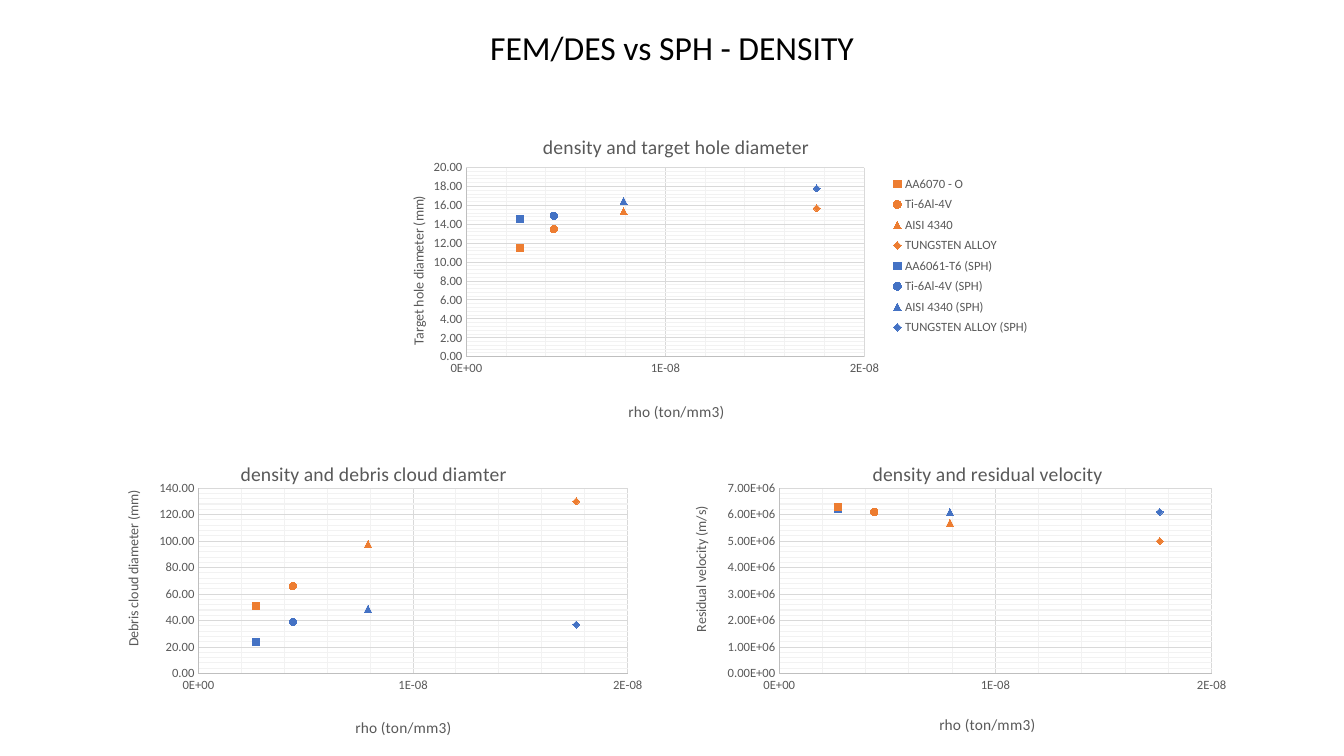
from copy import deepcopy

from lxml.etree import SubElement
from pptx import Presentation
from pptx.chart.data import XyChartData
from pptx.dml.color import RGBColor
from pptx.enum.chart import (XL_CHART_TYPE, XL_LEGEND_POSITION,
                             XL_MARKER_STYLE, XL_TICK_MARK)
from pptx.enum.text import PP_ALIGN
from pptx.oxml.ns import qn
from pptx.util import Inches, Pt

FONT = "Calibri"
BLACK = RGBColor(0x00, 0x00, 0x00)
GRAY = RGBColor(0x59, 0x59, 0x59)
AXIS = RGBColor(0xBF, 0xBF, 0xBF)
MAJOR = RGBColor(0xD9, 0xD9, 0xD9)
MINOR = RGBColor(0xF2, 0xF2, 0xF2)
ORANGE = RGBColor(0xED, 0x7D, 0x31)
BLUE = RGBColor(0x44, 0x72, 0xC4)

# Content: four FEM/DES metals, then the same densities with SPH
HEAD = "FEM/DES vs SPH - DENSITY"
RHO = "rho (ton/mm3)"
NAMES = ["AA6070 - O", "Ti-6Al-4V", "AISI 4340", "TUNGSTEN ALLOY",
         "AA6061-T6 (SPH)", "Ti-6Al-4V (SPH)", "AISI 4340 (SPH)",
         "TUNGSTEN ALLOY (SPH)"]
DENSITY = [2.7e-9, 4.4e-9, 7.9e-9, 1.76e-8]
MARKS = [XL_MARKER_STYLE.SQUARE, XL_MARKER_STYLE.CIRCLE,
         XL_MARKER_STYLE.TRIANGLE, XL_MARKER_STYLE.DIAMOND]

# Boxes are inches; plot, title and axis places are shares of the chart
CHARTS = [
    dict(title="density and target hole diameter",
         label="Target hole diameter (mm)",
         vals=[11.5, 13.5, 15.4, 15.7, 14.6, 14.9, 16.5, 17.8],
         top=20, step=2, form="0.00", box=(3.77, 1.06, 6.58, 3.18),
         plot=(0.13, 0.19, 0.6, 0.59), head=(0.24, 0.07),
         xlab=(0.37, 0.91), ylab=(0.04, 0.27), key=(0.76, 0.2, 0.23, 0.53)),
    dict(title="density and debris cloud diamter",
         label="Debris cloud diameter (mm)",
         vals=[51, 66, 98, 130, 24, 39, 49, 37],
         top=140, step=20, form="0.00", box=(1.04, 4.25, 5.46, 3.12),
         plot=(0.17, 0.19, 0.78, 0.59), head=(0.24, 0.09),
         xlab=(0.45, 0.91), ylab=(0.03, 0.19), key=None),
    dict(title="density and residual velocity",
         label="Residual velocity (m/s)",
         vals=[6.3e6, 6.1e6, 5.7e6, 5e6, 6.2e6, 6.1e6, 6.1e6, 6.1e6],
         top=7e6, step=1e6, form="0.00E+00", box=(6.67, 4.25, 5.57, 3.12),
         plot=(0.19, 0.19, 0.77, 0.59), head=(0.35, 0.09),
         xlab=(0.47, 0.9), ylab=(0.03, 0.24), key=None),
]


def write(frame, text, size=10, color=GRAY):
    frame.text = text
    para = frame.paragraphs[0]
    para.alignment = PP_ALIGN.CENTER
    font = para.runs[0].font
    font.name, font.size, font.bold = FONT, Pt(size), False
    font.color.rgb = color


def place(node, share, spot=1, inner=False):
    """Give a chart part a fixed place, as shares of the chart."""
    old = node.find(qn("c:layout"))
    if old is not None:
        node.remove(old)
    layout = SubElement(node, qn("c:layout"))
    node.insert(spot, layout)
    manual = SubElement(layout, qn("c:manualLayout"))
    rules = [("layoutTarget", "inner")] if inner else []
    rules += [("xMode", "edge"), ("yMode", "edge")]
    rules += zip("xywh", share)
    for tag, val in rules:
        SubElement(manual, qn("c:" + tag)).set("val", str(val))


def stroke(line, color):
    line.color.rgb = color
    line.width = Pt(0.75)


def grid(axis):
    """Style the major lines, then give the minor ones a paler copy."""
    axis.has_major_gridlines = axis.has_minor_gridlines = True
    line = axis.major_gridlines.format.line
    stroke(line, MINOR)
    look = axis._element.find(qn("c:majorGridlines")).find(qn("c:spPr"))
    axis._element.find(qn("c:minorGridlines")).append(deepcopy(look))
    stroke(line, MAJOR)


def style(axis, text, size, share, top, step, form):
    axis.minimum_scale, axis.maximum_scale = 0, top
    axis.major_unit, axis.minor_unit = step, step / 5
    axis.major_tick_mark = axis.minor_tick_mark = XL_TICK_MARK.NONE
    stroke(axis.format.line, AXIS)
    grid(axis)
    labels = axis.tick_labels
    labels.number_format, labels.number_format_is_linked = form, False
    labels.font.name, labels.font.size = FONT, Pt(9)
    labels.font.color.rgb = GRAY
    write(axis.axis_title.text_frame, text, size=size)
    place(axis.axis_title._element, share)


def scatter(slide, item):
    data = XyChartData()
    for name, rho, val in zip(NAMES, DENSITY * 2, item["vals"]):
        data.add_series(name).add_data_point(rho, val)
    chart = slide.shapes.add_chart(
        XL_CHART_TYPE.XY_SCATTER, *map(Inches, item["box"]), data).chart
    chart.font.name, chart.font.size = FONT, Pt(10)
    chart.plots[0].vary_by_categories = False

    # Markers: shape by metal, colour by method
    for i, series in enumerate(chart.plots[0].series):
        color = ORANGE if i < len(MARKS) else BLUE
        series.smooth = False
        series.format.line.fill.background()
        mark = series.marker
        mark.style, mark.size = MARKS[i % len(MARKS)], 5
        mark.format.fill.solid()
        mark.format.fill.fore_color.rgb = color
        stroke(mark.format.line, color)

    # Title, axes and plot
    write(chart.chart_title.text_frame, item["title"], size=14)
    place(chart.chart_title._element, item["head"])
    style(chart.category_axis, RHO, 11, item["xlab"], 2e-8, 1e-8, "0.E+00")
    style(chart.value_axis, item["label"], 10, item["ylab"],
          item["top"], item["step"], item["form"])
    area = chart._chartSpace.find(".//" + qn("c:plotArea"))
    place(area, item["plot"], spot=0, inner=True)

    # Legend
    chart.has_legend = item["key"] is not None
    if chart.has_legend:
        key = chart.legend
        key.position = XL_LEGEND_POSITION.RIGHT
        key.include_in_layout = False
        key.font.name, key.font.size = FONT, Pt(9)
        key.font.color.rgb = GRAY
        place(key._element, item["key"])


def main():
    deck = Presentation()
    deck.slide_width, deck.slide_height = Inches(13.33), Inches(7.5)
    slide = deck.slides.add_slide(deck.slide_layouts[6])
    box = slide.shapes.add_textbox(*map(Inches, (4.72, 0.22, 3.89, 0.5)))
    box.text_frame.word_wrap = True
    write(box.text_frame, HEAD, size=24, color=BLACK)
    for item in CHARTS:
        scatter(slide, item)
    deck.save("out.pptx")


if __name__ == "__main__":
    main()
